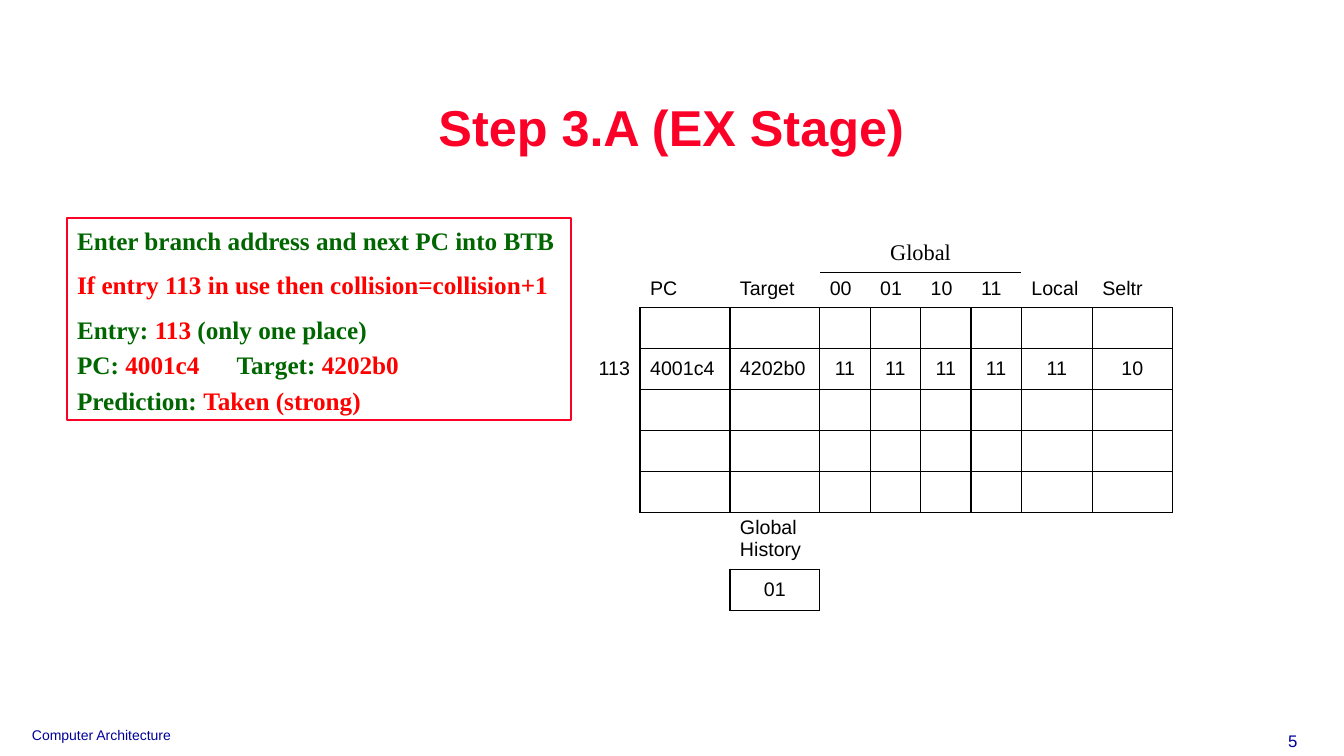
from lxml import etree
from pptx import Presentation
from pptx.dml.color import RGBColor
from pptx.enum.shapes import MSO_SHAPE
from pptx.enum.text import MSO_ANCHOR, PP_ALIGN
from pptx.oxml.ns import qn
from pptx.util import Pt

LEFT, CENTER, RIGHT = PP_ALIGN.LEFT, PP_ALIGN.CENTER, PP_ALIGN.RIGHT
TOP, MIDDLE = MSO_ANCHOR.TOP, MSO_ANCHOR.MIDDLE
RECT = MSO_SHAPE.RECTANGLE
WHITE = RGBColor(0xFF, 0xFF, 0xFF)
BLACK = RGBColor(0, 0, 0)
NAVY = RGBColor(0, 0, 0x99)
CRIMSON = RGBColor(0xFC, 0x01, 0x28)
GREEN = RGBColor(0, 0x66, 0)
RED = RGBColor(0xFF, 0, 0)
SANS, SERIF = "Arial", "Times New Roman"


def style(para, face, size, color, align=LEFT, bold=False):
    para.alignment = align
    font = para.font
    font.name, font.size, font.bold = face, Pt(size), bold
    font.color.rgb = color


def boxed(row, col):
    return (2 <= row <= 6 and 1 <= col <= 8) or (row, col) == (8, 2)


deck = Presentation()
deck.slide_width, deck.slide_height = Pt(960), Pt(540)
slide = deck.slides.add_slide(deck.slide_layouts[5])
shapes = slide.shapes

title = shapes.title
title.left, title.top, title.width, title.height = Pt(103.7), Pt(48.2), Pt(751.7), Pt(90)
title.text_frame.text = "Step 3.A (EX Stage)"
title.text_frame.vertical_anchor = MIDDLE
para = title.text_frame.paragraphs[0]
para.line_spacing = 0.9
style(para, SANS, 36, CRIMSON, CENTER, True)

for text, left, top, width, height, size, align in (
    ("5", 905, 518.4, 28.8, 21.6, 12, RIGHT),
    ("Computer Architecture", 15.8, 515.5, 440, 19.4, 10, LEFT),
):
    frame = shapes.add_textbox(Pt(left), Pt(top), Pt(width), Pt(height)).text_frame
    frame.word_wrap = True
    frame.text = text
    style(frame.paragraphs[0], SANS, size, NAVY, align)

steps = shapes.add_shape(RECT, Pt(48), Pt(156), Pt(360), Pt(144))
steps.shadow.inherit = False
steps.fill.solid()
steps.fill.fore_color.rgb = WHITE
steps.line.color.rgb = CRIMSON
steps.line.width = Pt(1.5)
frame = steps.text_frame
frame.word_wrap = True
frame.vertical_anchor = TOP
frame.margin_top = Pt(5)
LINES = (
    (0, (("Enter branch address and next PC into BTB", GREEN),)),
    (10, (("If entry 113 in use then collision=collision+1", RED),)),
    (10, (("Entry: ", GREEN), ("113 ", RED), ("(only one place)", GREEN))),
    (4, (("PC: ", GREEN), ("4001c4", RED), ("\tTarget: ", GREEN), ("4202b0", RED))),
    (4, (("Prediction: ", GREEN), ("Taken (strong)", RED))),
)
for num, (space, parts) in enumerate(LINES):
    para = frame.add_paragraph() if num else frame.paragraphs[0]
    para.space_before = Pt(space)
    if any("\t" in text for text, color in parts):
        tabs = etree.SubElement(para._p.get_or_add_pPr(), qn("a:tabLst"))
        etree.SubElement(tabs, qn("a:tab"), pos=str(Pt(114)), algn="l")
    style(para, SERIF, 18, GREEN, LEFT, True)
    for text, color in parts:
        run = para.add_run()
        run.text = text
        run.font.color.rgb = color

WIDTHS = (43.2, 64.2, 64.2, 36, 36, 36, 36, 50.6, 57.4)
HEIGHTS = (26.6, 25.2, 29.2, 29.2, 29.2, 29.2, 29.2, 40.3, 29.2)
TEXTS = {
    0: ("", "", "", "Global"),
    1: ("", "PC", "Target", "00", "01", "10", "11", "Local", "Seltr"),
    3: ("113", "4001c4", "4202b0", "11", "11", "11", "11", "11", "10"),
    7: ("", "", "Global History"),
    8: ("", "", "01"),
}
SIDES = (("a:lnL", 0, -1), ("a:lnR", 0, 1), ("a:lnT", -1, 0), ("a:lnB", 1, 0))
grid = shapes.add_table(len(HEIGHTS), len(WIDTHS), Pt(414), Pt(168),
                        Pt(sum(WIDTHS)), Pt(sum(HEIGHTS))).table
grid.first_row = grid.horz_banding = False
for col, width in enumerate(WIDTHS):
    grid.columns[col].width = Pt(width)
for row, height in enumerate(HEIGHTS):
    grid.rows[row].height = Pt(height)
    texts = TEXTS.get(row, ())
    for col in range(len(WIDTHS)):
        cell = grid.cell(row, col)
        para = cell.text_frame.paragraphs[0]
        text = texts[col] if col < len(texts) else ""
        if text:
            para.text = text
        else:
            etree.SubElement(para._p, qn("a:endParaRPr"), sz="1400")
        head = row == 0
        align = LEFT
        if head or (row in (3, 8) and (col > 2 or row == 8)):
            align = CENTER
        elif row == 3 and col == 0:
            align = RIGHT
        style(para, SERIF if head else SANS, 16 if head else 14, BLACK, align)
        cell.vertical_anchor = MIDDLE if row in (3, 8) else TOP
        props = cell._tc.get_or_add_tcPr()
        for tag, down, over in SIDES:
            edge = etree.SubElement(props, qn(tag), w=str(Pt(1)))
            rule = 3 <= col <= 6 and (row, down) in ((0, 1), (1, -1))
            if rule or boxed(row, col) or boxed(row + down, col + over):
                paint = etree.SubElement(edge, qn("a:solidFill"))
                etree.SubElement(paint, qn("a:srgbClr"), val=str(BLACK))
            else:
                etree.SubElement(edge, qn("a:noFill"))
        cell.fill.solid()
        cell.fill.fore_color.rgb = WHITE
grid.cell(0, 3).merge(grid.cell(0, 6))

deck.save("out.pptx")
